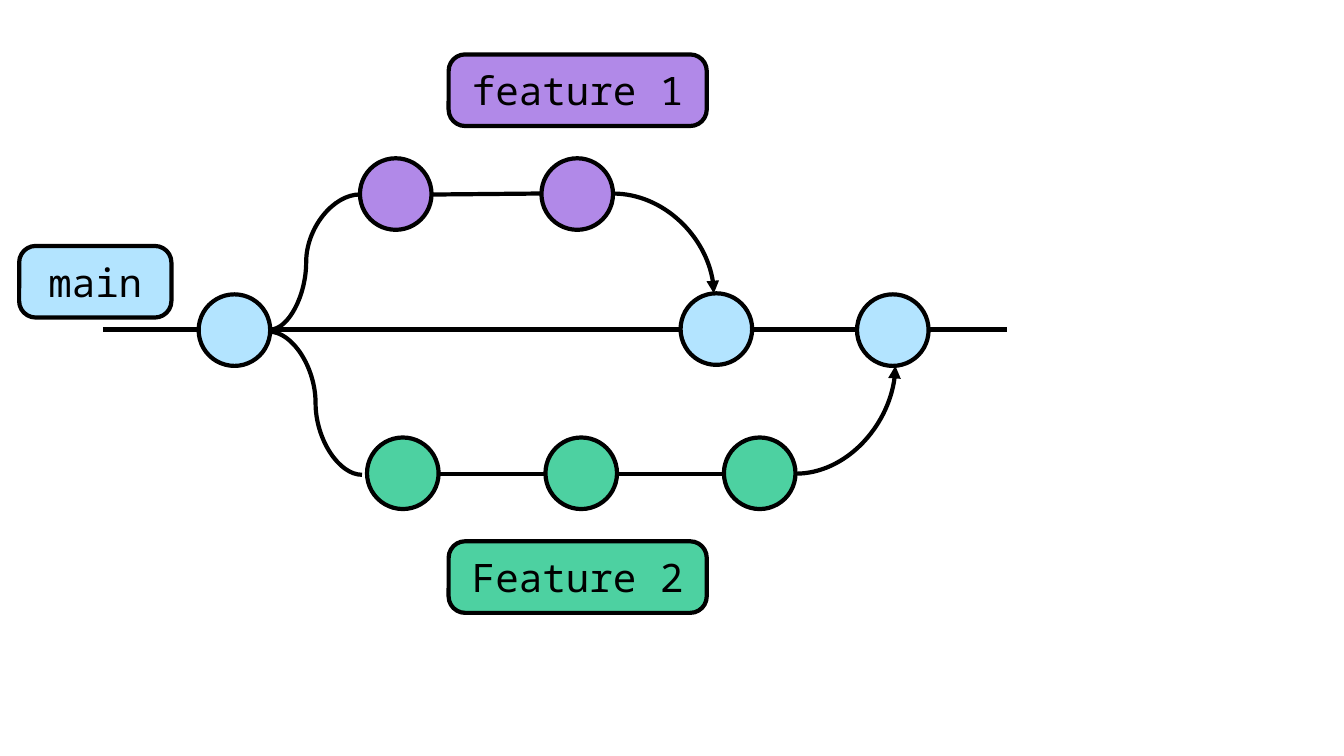
"""Draw a branching diagram with a main line and two merged feature branches."""
import pptx
import pptx.dml.color
import pptx.enum.shapes
import pptx.enum.text
import pptx.oxml.ns
import pptx.oxml.xmlchemy
import pptx.util
from pptx.util import Inches

BLUE, PURPLE, GREEN, BLACK = "B3E4FF", "B189E8", "4DD1A1", "000000"
COMMIT_SIZE = 0.71
LINE_WIDTH = pptx.util.Pt(3)
SHAPES = pptx.enum.shapes.MSO_SHAPE
CONNECTORS = pptx.enum.shapes.MSO_CONNECTOR


def color(hex_string):
    return pptx.dml.color.RGBColor.from_string(hex_string)


def write_text(shape, text, size=28, font="Noto Sans Mono", fill=BLACK):
    frame = shape.text_frame
    frame.word_wrap = True
    frame.vertical_anchor = pptx.enum.text.MSO_ANCHOR.MIDDLE
    paragraph = frame.paragraphs[0]
    paragraph.alignment = pptx.enum.text.PP_ALIGN.CENTER
    run = paragraph.add_run()
    run.text = text
    run.font.name = font
    run.font.size = pptx.util.Pt(size)
    run.font.color.rgb = color(fill)


presentation = pptx.Presentation()
presentation.slide_width = Inches(13.33)
presentation.slide_height = Inches(7.5)
slide = presentation.slides.add_slide(presentation.slide_layouts[6])

straight_lines = [
    (1.02, 3.27, 1.97, 3.27),
    (2.68, 3.27, 8.5, 3.27),
    (9.21, 3.27, 9.99, 3.27),
    (4.28, 1.93, 5.37, 1.92),
    (4.35, 4.7, 5.41, 4.7),
    (6.12, 4.7, 7.18, 4.7),
]
branch_curves = [
    (2.68, 3.27, 3.57, 1.93, 40100),
    (2.67, 3.29, 3.59, 4.71, 50000),
]
merge_arrows = [
    (6.08, 1.92, 7.08, 2.91),
    (7.89, 4.7, 8.88, 3.63),
]

connections = [(CONNECTORS.STRAIGHT, ends, None, False) for ends in straight_lines]
connections += [(CONNECTORS.CURVE, ends, bend, False) for *ends, bend in branch_curves]
connections += [(CONNECTORS.CURVE, ends, None, True) for ends in merge_arrows]

for kind, ends, bend, is_merge in connections:
    connector = slide.shapes.add_connector(kind, *map(Inches, ends))
    connector.line.color.rgb = color(BLACK)
    connector.line.width = LINE_WIDTH
    properties = connector._element.spPr
    geometry = properties.find(pptx.oxml.ns.qn("a:prstGeom"))
    if bend:
        adjustments = geometry.find(pptx.oxml.ns.qn("a:avLst"))
        guide = pptx.oxml.xmlchemy.OxmlElement("a:gd")
        guide.set("name", "adj1")
        guide.set("fmla", f"val {bend}")
        adjustments.append(guide)
    if is_merge:
        geometry.set("prst", "curvedConnector2")
        arrowhead = pptx.oxml.xmlchemy.OxmlElement("a:tailEnd")
        arrowhead.set("type", "triangle")
        properties.find(pptx.oxml.ns.qn("a:ln")).append(arrowhead)
    properties.append(pptx.oxml.xmlchemy.OxmlElement("a:effectLst"))

commits = [
    (1.97, 2.92, BLUE),
    (6.75, 2.91, BLUE),
    (8.5, 2.92, BLUE),
    (3.57, 1.57, PURPLE),
    (5.37, 1.57, PURPLE),
]
commits += [(3.64 + 1.77 * step, 4.34, GREEN) for step in range(3)]
branch_labels = [
    (0.19, 2.44, 1.51, BLUE, "main"),
    (4.45, 0.54, 2.56, PURPLE, "feature 1"),
    (4.45, 5.37, 2.56, GREEN, "Feature 2"),
]

nodes = [(left, top, COMMIT_SIZE, fill, None) for left, top, fill in commits]
for left, top, width, fill, text in nodes + branch_labels:
    shape = slide.shapes.add_shape(
        SHAPES.ROUNDED_RECTANGLE if text else SHAPES.OVAL,
        Inches(left), Inches(top), Inches(width), Inches(COMMIT_SIZE))
    shape.shadow.inherit = False
    shape.fill.solid()
    shape.fill.fore_color.rgb = color(fill)
    shape.line.color.rgb = color(BLACK)
    shape.line.width = LINE_WIDTH
    if text:
        shape.adjustments[0] = 0.23
        write_text(shape, text)

presentation.save("out.pptx")
